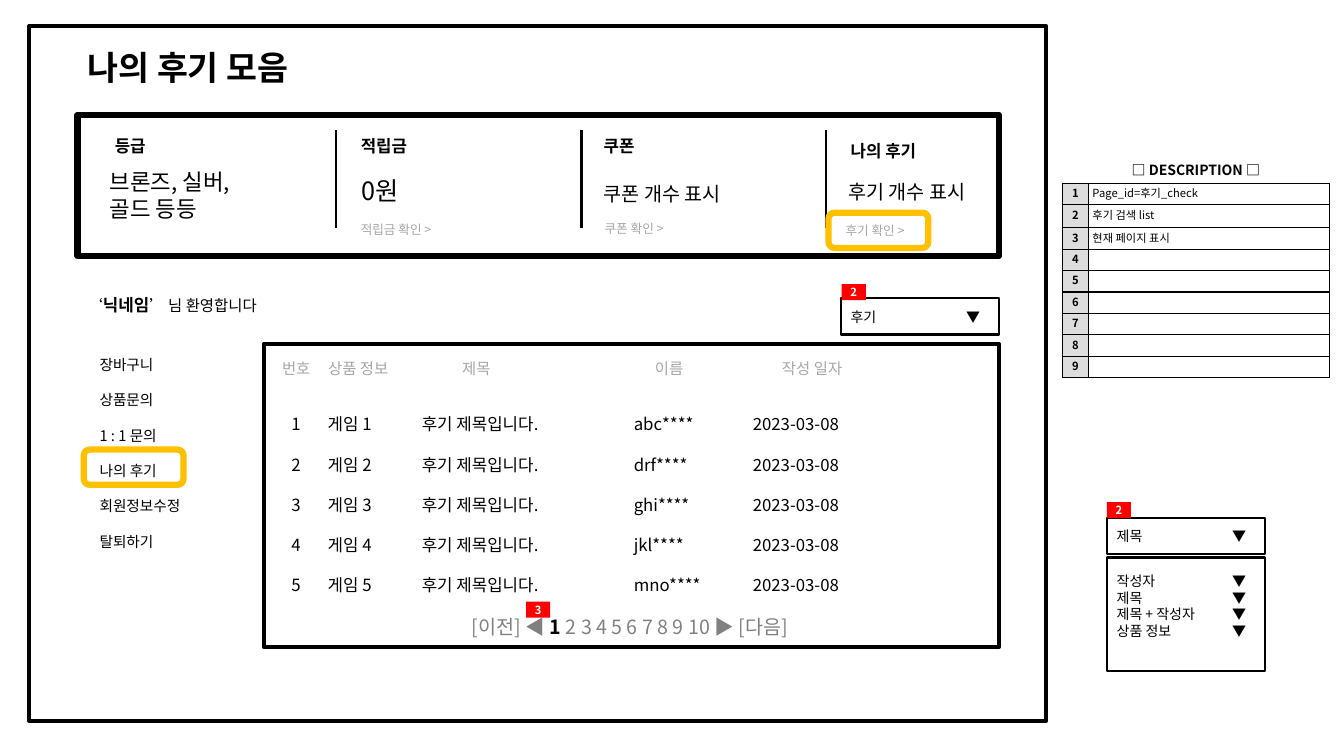
from lxml.etree import SubElement
from pptx import Presentation
from pptx.dml.color import RGBColor
from pptx.enum.shapes import MSO_CONNECTOR as Connector, MSO_SHAPE as Shape
from pptx.enum.text import MSO_ANCHOR as Anchor, PP_ALIGN as Align
from pptx.oxml.ns import qn
from pptx.util import Pt

# Content
FONT = "Noto Sans CJK KR"
BLACK, WHITE, PALE, GRAY = "000000", "FFFFFF", "A6A6A6", "808080"
AMBER, RED, SILVER = "FFC000", "FF0000", "DDDDDD"

TITLE = "나의 후기 모음"
# Each entry: text, left, top, width, height, size
STAT_NAMES = [("등급", 74.9, 93.6), ("적립금", 250.6, 93.6),
              ("쿠폰", 424.1, 93.6), ("나의 후기", 600.5, 97.2)]
STAT_VALUES = [("브론즈, 실버,골드 등등", 71.3, 116.6, 109.4, 46, 16),
               ("0원", 251.3, 121.7, 101.5, 28.8, 18),
               ("쿠폰 개수 표시", 424.1, 126.7, 138.2, 24.5, 14),
               ("후기 개수 표시", 599, 125.3, 125.3, 24.5, 14)]
STAT_LINKS = [("적립금 확인 >", 250.6, 154.8), ("쿠폰 확인 >", 424.8, 154.1),
              ("후기 확인 >", 596.9, 155.5)]
DIVIDERS = [239.8, 415.4, 589.7]
GREETING = [("‘", {}), ("닉네임", {"size": 12, "bold": True}), ("’ 님 환영합니다", {})]
MENU = ["장바구니", "상품문의", "1 : 1 문의", "나의 후기", "회원정보수정", "탈퇴하기"]
REVIEW_HEADS = ["번호", "상품 정보", "제목", "이름", "작성 일자"]
HEAD_TABS = [32.9, 128.6, 266.4, 357.1]
REVIEWERS = ["abc****", "drf****", "ghi****", "jkl****", "mno****"]
REVIEW_TABS = [26, 93.2, 244.6, 329.6]
PAGES = [("[이전] ◀ ", {}), ("1", {"color": BLACK, "bold": True}),
         (" 2 3 4 5 6 7 8 9 10 ▶ [다음]", {})]
DROPDOWNS = [(["후기"], 600.5, 213.1, 25.9), (["제목"], 790.6, 370.1, 25.9),
             (["작성자", "제목", "제목 + 작성자", "상품 정보"], 790.6, 398.2, 81.4)]
BADGES = [("2", 601.2, 203), ("2", 790.6, 358.6), ("3", 375.8, 429.8)]
HIGHLIGHTS = [(591.8, 151.9), (59.8, 321.1)]
BOXES = [(20.9, 18.7, 726.5, 496.1, 3), (55.4, 82.1, 658.1, 100.8, 4.5),
         (188.6, 245.5, 524.9, 216.7, 3)]
NOTES_HEAD = "□ DESCRIPTION □"
NOTES = ["Page_id=후기_check", "후기 검색 list", "현재 페이지 표시"] + [""] * 6
NOTE_HEIGHTS = [18, 15.1, 16.6] + [15.3] * 7

presentation = Presentation()
presentation.slide_width, presentation.slide_height = Pt(960), Pt(540)
slide = presentation.slides.add_slide(presentation.slide_layouts[5])
shapes = slide.shapes


def rgb(value):
    return RGBColor.from_string(value)


def points(*values):
    return [Pt(value) for value in values]


def write(frame, paragraphs, size, color=BLACK, bold=False, align=Align.LEFT,
          gap=0, tabs=()):
    """Fill a text frame; a paragraph is a string or a list of (text, changes)."""
    for index, content in enumerate(paragraphs):
        paragraph = frame.add_paragraph() if index else frame.paragraphs[0]
        layout = {"alignment": align, "line_spacing": Pt(size * 1.2),
                  "space_before": Pt(0), "space_after": Pt(gap)}
        for name, value in layout.items():
            setattr(paragraph, name, value)
        if tabs:
            tab_list = SubElement(paragraph._p.get_or_add_pPr(), qn("a:tabLst"))
            for tab in tabs:
                SubElement(tab_list, qn("a:tab"), pos=str(Pt(tab)), algn="l")
        if not content:
            SubElement(paragraph._p, qn("a:endParaRPr"), sz=str(size * 100))
            continue
        for text, changes in [(content, {})] if isinstance(content, str) else content:
            look = {"size": size, "color": color, "bold": bold, **changes}
            run = paragraph.add_run()
            run.text = text
            font = {"size": Pt(look["size"]), "bold": look["bold"], "name": FONT}
            for name, value in font.items():
                setattr(run.font, name, value)
            run.font.color.rgb = rgb(look["color"])
            SubElement(run._r.get_or_add_rPr(), qn("a:ea"), typeface=FONT)


def add_text(paragraphs, left, top, width, height, size, **style):
    frame = shapes.add_textbox(*points(left, top, width, height)).text_frame
    frame.word_wrap = True
    write(frame, paragraphs, size, **style)


def add_box(left, top, width, height, line=None, weight=0, fill=None,
            kind=Shape.RECTANGLE):
    shape = shapes.add_shape(kind, *points(left, top, width, height))
    shape.shadow.inherit = False
    if fill:
        shape.fill.solid()
        shape.fill.fore_color.rgb = rgb(fill)
    else:
        shape.fill.background()
    if line:
        shape.line.color.rgb = rgb(line)
        shape.line.width = Pt(weight)
    else:
        shape.line.fill.background()
    shape.text_frame.vertical_anchor = Anchor.MIDDLE
    return shape


def format_cell(cell, text, fill, sides, **style):
    properties = cell._tc.get_or_add_tcPr()
    for side in "LRTB":
        edge = SubElement(properties, qn("a:ln" + side), w=str(Pt(1)))
        if side in sides:
            solid = SubElement(edge, qn("a:solidFill"))
            SubElement(solid, qn("a:srgbClr"), val=BLACK)
        else:
            SubElement(edge, qn("a:noFill"))
    cell.fill.solid()
    cell.fill.fore_color.rgb = rgb(fill)
    cell.vertical_anchor = Anchor.MIDDLE
    for side in ("left", "right", "top", "bottom"):
        setattr(cell, "margin_" + side, Pt(2.8))
    write(cell.text_frame, [text], **style)


# Title and outlines
title = shapes.title
title.left, title.top, title.width, title.height = points(55.4, 30.2, 177.1, 36)
title.text_frame.vertical_anchor = Anchor.TOP
title.text_frame.word_wrap = True
write(title.text_frame, [TITLE], 24, bold=True)
for *place, weight in BOXES:
    add_box(*place, BLACK, weight)

# Member summary
for x in DIVIDERS:
    divider = shapes.add_connector(Connector.STRAIGHT, *points(x, 92.9, x, 162.7))
    divider.line.color.rgb = rgb(BLACK)
    divider.line.width = Pt(1.5)
    SubElement(divider._element.spPr, qn("a:effectLst"))
for text, left, top in STAT_NAMES:
    add_text([text], left, top, 101.5, 21.6, 12, bold=True)
for text, *place in STAT_VALUES:
    add_text([text], *place)
for text, left, top in STAT_LINKS:
    add_text([text], left, top, 72.7, 18, 9, color=PALE)

# Greeting and side menu
add_text([GREETING], 55.4, 208.1, 135.4, 21.6, 11)
add_text(MENU, 64.1, 250.6, 78.5, 146.9, 10.5, gap=12.65)

# Review list
add_text(["\t".join(REVIEW_HEADS)], 194.4, 252.7, 518.4, 20.9, 11,
         color=PALE, tabs=HEAD_TABS)
for index, reviewer in enumerate(REVIEWERS):
    number = index + 1
    row = [str(number), f"게임 {number}", "후기 제목입니다.", reviewer, "2023-03-08"]
    add_text(["\t".join(row)], 201, 292.3 + 28.65 * index, 500, 21.6, 12,
             tabs=REVIEW_TABS)
add_text([PAGES], 198.7, 435.6, 502.6, 24.5, 14, color=GRAY, align=Align.CENTER)

# Dropdowns, highlights and numbered badges
for options, left, top, height in DROPDOWNS:
    frame = add_box(left, top, 113, height, BLACK, 1.5, WHITE).text_frame
    frame.word_wrap = True
    if len(options) > 1:
        frame.margin_bottom = Pt(15.6)
    write(frame, [option + "\t▼" for option in options], 10, tabs=[82.5])
for left, top in HIGHLIGHTS:
    add_box(left, top, 71.3, 25.2, AMBER, 4.5, kind=Shape.ROUNDED_RECTANGLE)
for text, left, top in BADGES:
    frame = add_box(left, top, 17.3, 11.5, fill=RED).text_frame
    for side in ("left", "right", "top", "bottom"):
        setattr(frame, "margin_" + side, 0)
    write(frame, [text], 8, color=WHITE, bold=True, align=Align.CENTER)

# Description table
table = shapes.add_table(len(NOTE_HEIGHTS), 2,
                         *points(758.9, 113, 190.6, sum(NOTE_HEIGHTS))).table
table.first_row = table.horz_banding = False
for column, width in zip(table.columns, (18.7, 171.9)):
    column.width = Pt(width)
for row, height in zip(table.rows, NOTE_HEIGHTS):
    row.height = Pt(height)
table.cell(0, 0).merge(table.cell(0, 1))
format_cell(table.cell(0, 0), NOTES_HEAD, WHITE, "B", size=10, bold=True,
            align=Align.CENTER)
for number, note in enumerate(NOTES, 1):
    format_cell(table.cell(number, 0), str(number), SILVER, "LRTB", size=8,
                bold=True, align=Align.CENTER)
    format_cell(table.cell(number, 1), note, WHITE, "LRTB", size=8)

presentation.save("out.pptx")
